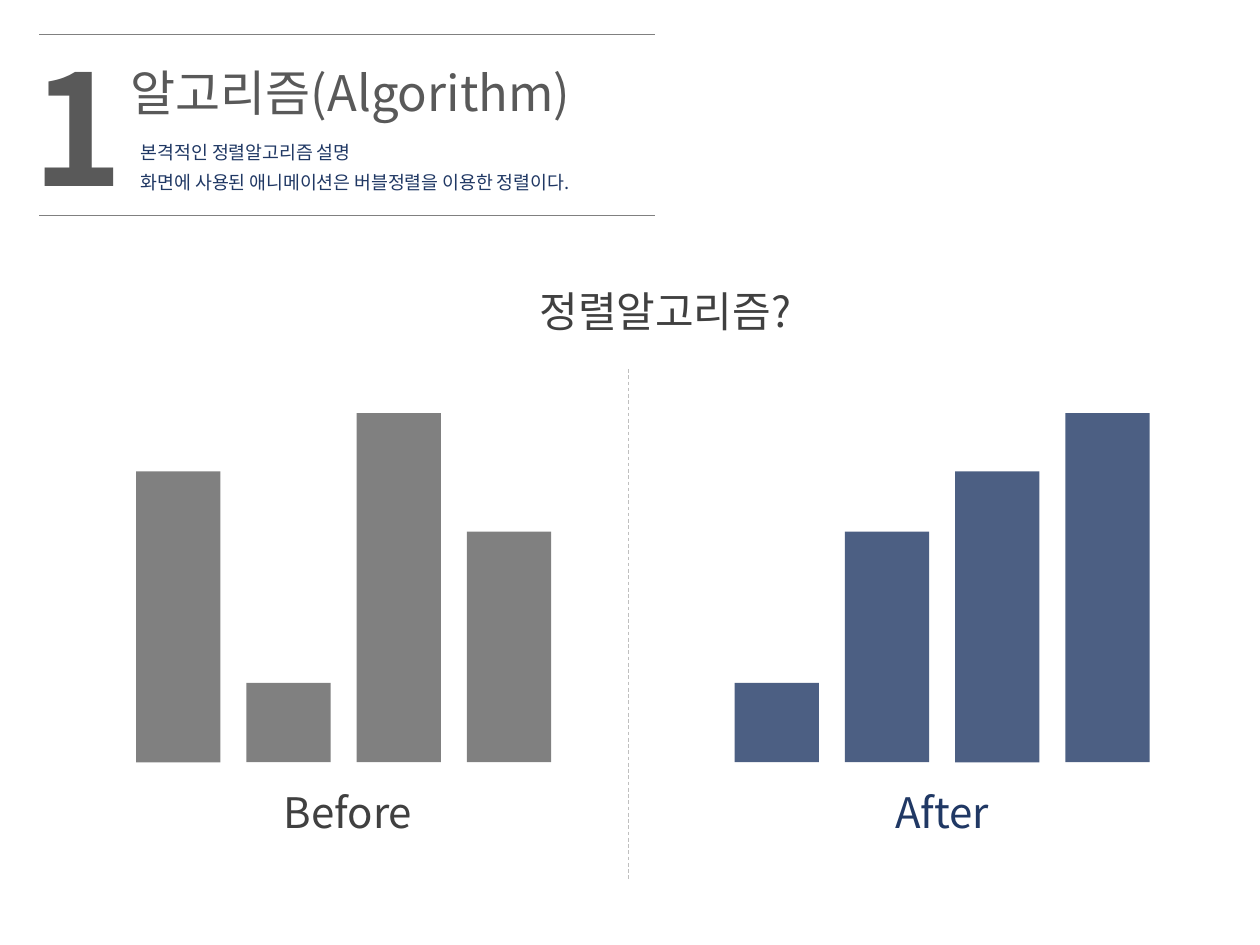
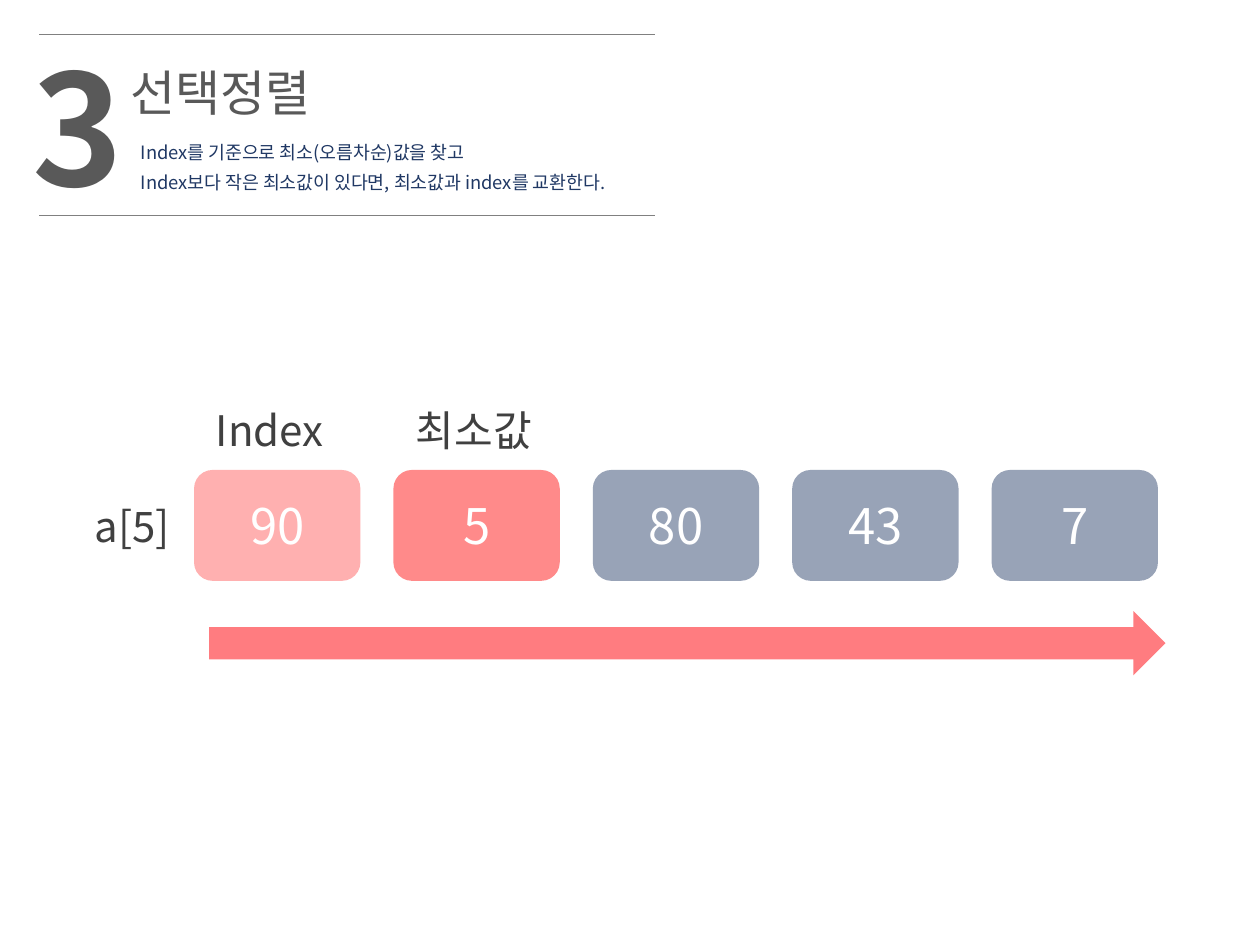
from pptx import Presentation
from pptx.dml.color import RGBColor
from pptx.enum.dml import MSO_LINE
from pptx.enum.shapes import MSO_CONNECTOR, MSO_SHAPE
from pptx.enum.text import MSO_ANCHOR, MSO_AUTO_SIZE, PP_ALIGN
from pptx.oxml.ns import qn
from pptx.util import Inches, Pt
from lxml import etree

RECT, ROUND = MSO_SHAPE.RECTANGLE, MSO_SHAPE.ROUNDED_RECTANGLE
ARROW, LINE = MSO_SHAPE.RIGHT_ARROW, MSO_CONNECTOR.STRAIGHT
LEFT, CENTER = PP_ALIGN.LEFT, PP_ALIGN.CENTER
MIDDLE, GROW = MSO_ANCHOR.MIDDLE, MSO_AUTO_SIZE.SHAPE_TO_FIT_TEXT
DASH = MSO_LINE.DASH

NAVY = RGBColor(0x20, 0x38, 0x64)
DARK = RGBColor(0x40, 0x40, 0x40)
SLATE = RGBColor(0x59, 0x59, 0x59)
GRAY = RGBColor(0x80, 0x80, 0x80)
PALE = RGBColor(0xBF, 0xBF, 0xBF)
ROSE = RGBColor(0xFF, 0x50, 0x50)
RED = RGBColor(0xFF, 0x00, 0x00)
CORAL = RGBColor(0xFF, 0x7C, 0x80)
WHITE = RGBColor(0xFF, 0xFF, 0xFF)
FONT = "Noto Sans CJK KR"

# The slide is a grid of square cells; every box is (column, row, columns, rows).
COLS, ROWS, CELL = 100, 75, 0.1


def cells(*counts):
    """Turn counts of grid cells into lengths."""
    return [Inches(n * CELL) for n in counts]


def write(frame, lines, size, color, align=LEFT, bold=False, pitch=None):
    """Fill a text frame with one paragraph for each line."""
    frame.text = "\n".join(lines)
    for para in frame.paragraphs:
        para.alignment = align
        if pitch:
            para.line_spacing = Pt(pitch)
        font = para.font
        font.size, font.bold, font.name = Pt(size), bold, FONT
        font.color.rgb = color
        props = para._p.get_or_add_pPr().get_or_add_defRPr()
        etree.SubElement(props, qn("a:ea"), typeface=FONT)


def text(slide, box, lines, size, color, **style):
    """Add a wrapping text box that grows with its text."""
    frame = slide.shapes.add_textbox(*cells(*box)).text_frame
    frame.word_wrap, frame.auto_size = True, GROW
    write(frame, lines, size, color, **style)


def label(slide, box, words, color=DARK):
    """Add a centred caption."""
    text(slide, box, [words], 24, color, align=CENTER)


def block(slide, kind, box, color, alpha=100):
    """Add a flat shape without outline; alpha is its opacity in percent."""
    shape = slide.shapes.add_shape(kind, *cells(*box))
    shape.shadow.inherit = False
    shape.fill.solid()
    shape.fill.fore_color.rgb = color
    shape.line.fill.background()
    if alpha < 100:
        tint = shape._element.spPr.find(".//" + qn("a:srgbClr"))
        etree.SubElement(tint, qn("a:alpha"), val=str(alpha * 1000))
    return shape


def rule(slide, start, end, color, dash=None):
    """Draw a thin line between two grid points."""
    line = slide.shapes.add_connector(LINE, *cells(*start, *end))
    line.line.color.rgb, line.line.width = color, Pt(0.5)
    if dash:
        line.line.dash_style = dash
    etree.SubElement(line._element.spPr, qn("a:effectLst"))


def header(slide, box, number, title, notes):
    """Place the chapter number, title and notes between two rules."""
    x, y, w, h = box
    for row in (y, y + h):
        rule(slide, (x, row), (x + w, row), GRAY)
    text(slide, (x - 1.5, y - 0.6, 8.7, 15.8), [number], 88, SLATE, bold=True)
    text(slide, (x + 6.3, y + 1.8, 44.9, 5.7), [title], 28, SLATE)
    text(slide, (x + 7.1, y + 7.4, 45.7, 5.8), notes, 10.5, NAVY, pitch=17)


def bars(slide, box, sizes, color, alpha, name, ink, shift):
    """Stand equal-width bars on the box's base, with a name below."""
    x, y, w, h = box
    wide = 6.7
    step = (w - wide) / (len(sizes) - 1)
    for i, size in enumerate(sizes):
        spot = (x + i * step, y + h - size, wide, size)
        block(slide, RECT, spot, color, alpha)
    label(slide, (x + shift, y + h + 1.4, 37.8, 5), name, ink)


def array(slide, box, items, name, marks):
    """Lay out array items in a row, with its name, marks and scan arrow."""
    x, y, w, h = box
    wide = 13.2
    step = (w - wide) / (len(items) - 1)
    for i, (item, color, alpha) in enumerate(items):
        tile = block(slide, ROUND, (x + i * step, y, wide, h), color, alpha)
        tile.text_frame.vertical_anchor = MIDDLE
        write(tile.text_frame, [item], 28, WHITE, align=CENTER)
    label(slide, (x - 9.7, y + 1.9, 9.6, 5), name)
    for i, mark in enumerate(marks):
        label(slide, (x + 0.3 + i * 16.2, y - 5.7, 11.4, 5), mark)
    block(slide, ARROW, (x + 1.2, y + h + 2.4, 75.9, 5.1), CORAL)


def main():
    """Build both slides and save them."""
    deck = Presentation()
    deck.slide_width, deck.slide_height = cells(COLS, ROWS)
    blank = deck.slide_layouts[6]
    band = (3.1, 2.7, 48.9, 14.4)

    intro = deck.slides.add_slide(blank)
    header(intro, band, "1", "알고리즘(Algorithm)",
           ["본격적인 정렬알고리즘 설명",
            "화면에 사용된 애니메이션은 버블정렬을 이용한 정렬이다."])
    label(intro, (33.9, 22.2, 37.8, 5), "정렬알고리즘?")
    rule(intro, (49.9, 29.3), (49.9, 69.8), PALE, DASH)
    sizes = [23.1, 6.3, 27.7, 18.3]
    bars(intro, (10.8, 32.8, 32.95, 27.7), sizes,
         GRAY, 100, "Before", DARK, -2.1)
    bars(intro, (58.3, 32.8, 32.95, 27.7), sorted(sizes),
         NAVY, 80, "After", NAVY, -2.4)

    pick = deck.slides.add_slide(blank)
    header(pick, band, "3", "선택정렬",
           ["Index를 기준으로 최소(오름차순)값을 찾고",
            "Index보다 작은 최소값이 있다면, 최소값과 index를 교환한다."])
    rest = [(item, NAVY, 46) for item in ("80", "43", "7")]
    array(pick, (15.4, 37.3, 76.5, 8.8),
          [("90", ROSE, 45), ("5", RED, 46)] + rest,
          "a[5]", ["Index", "최소값"])

    deck.save("out.pptx")


main()
